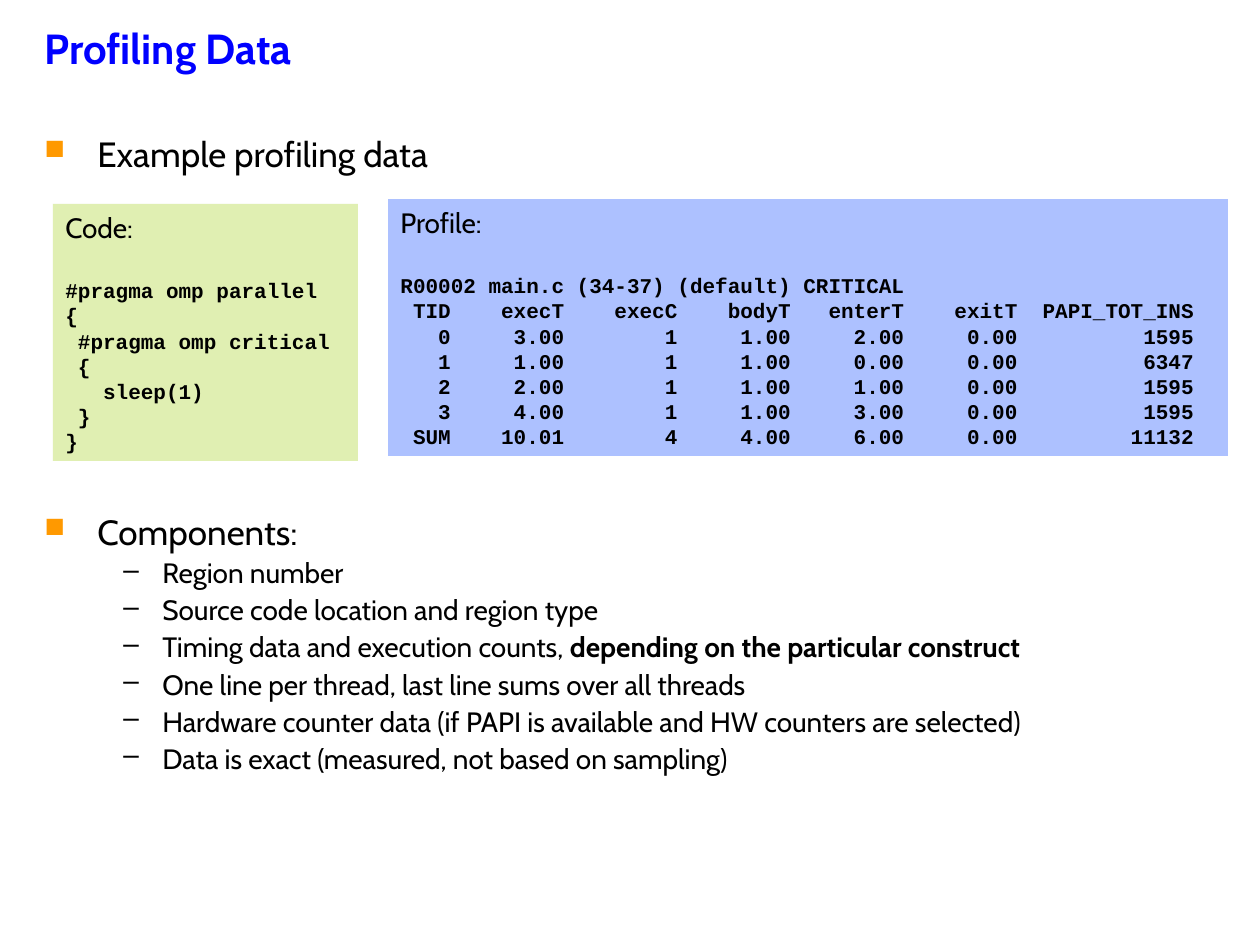
from dataclasses import dataclass
from typing import Any

from lxml.etree import SubElement
from pptx import Presentation
from pptx.dml.color import RGBColor
from pptx.enum.shapes import MSO_SHAPE as Shape
from pptx.enum.text import MSO_ANCHOR as Anchor, PP_ALIGN as Align
from pptx.oxml.ns import qn
from pptx.util import Emu, Pt

EMU_PER_INCH = 914400
PX_PER_INCH = 126

CODE = [
    "#pragma omp parallel",
    "{",
    " #pragma omp critical",
    " {",
    "   sleep(1)",
    " }",
    "}",
]
PROFILE = [
    "R00002 main.c (34-37) (default) CRITICAL",
    " TID    execT    execC    bodyT   enterT    exitT  PAPI_TOT_INS",
    "   0     3.00        1     1.00     2.00     0.00          1595",
    "   1     1.00        1     1.00     0.00     0.00          6347",
    "   2     2.00        1     1.00     1.00     0.00          1595",
    "   3     4.00        1     1.00     3.00     0.00          1595",
    " SUM    10.01        4     4.00     6.00     0.00         11132",
]
COMPONENTS = [
    [("Region number", False)],
    [("Source code location and region type", False)],
    [("Timing data and execution counts, ", False),
     ("depending on the particular construct", True)],
    [("One line per thread, last line sums over all threads", False)],
    [("Hardware counter data (if PAPI is available and HW counters are selected)", False)],
    [("Data is exact (measured, not based on sampling)", False)],
]


def px(length):
    return Emu(round(length * EMU_PER_INCH / PX_PER_INCH))


def rgb(value):
    return RGBColor.from_string(value)


@dataclass
class SlideBuilder:
    slide: Any
    text_font: str = "Cabin"
    code_font: str = "Courier New"
    ink: str = "000000"
    title_color: str = "0000FF"
    bullet_color: str = "FF9900"
    heading_size: int = 20
    item_size: int = 16
    code_size: int = 12

    def add_run(self, para, text, size, bold=False, color=None, font=None):
        span = para.add_run()
        span.text = text
        span.font.size = Pt(size)
        span.font.bold = bold
        span.font.name = font or self.text_font
        span.font.color.rgb = rgb(color or self.ink)

    def text_box(self, left, top, width, height):
        box = self.slide.shapes.add_textbox(px(left), px(top), px(width), px(height))
        box.text_frame.word_wrap = True
        return box.text_frame

    def title(self, text, left, top, width, height):
        frame = self.text_box(left, top, width, height)
        frame.vertical_anchor = Anchor.MIDDLE
        para = frame.paragraphs[0]
        para.line_spacing = 0.9
        self.add_run(para, text, 24, True, self.title_color)

    def bullet(self, para, char, color, margin, hanging, percent=100):
        props = para._p.get_or_add_pPr()
        props.set("marL", str(px(margin)))
        props.set("indent", str(-px(hanging)))
        tint = SubElement(props, qn("a:buClr"))
        SubElement(tint, qn("a:srgbClr"), val=color)
        SubElement(props, qn("a:buSzPct"), val=str(percent * 1000))
        SubElement(props, qn("a:buChar"), char=char)

    def outline(self, heading, items, left, top, width, height):
        frame = self.text_box(left, top, width, height)
        para = frame.paragraphs[0]
        self.bullet(para, "■", self.bullet_color, 53, 53, 80)
        self.add_run(para, heading, self.heading_size)
        for spans in items:
            para = frame.add_paragraph()
            para.level = 1
            self.bullet(para, "–", self.ink, 118, 39)
            para.space_before = Pt(2)
            for text, bold in spans:
                self.add_run(para, text, self.item_size, bold)

    def listing(self, heading, lines, color, opacity, left, top, width, height):
        panel = self.slide.shapes.add_shape(
            Shape.RECTANGLE, px(left), px(top), px(width), px(height))
        panel.shadow.inherit = False
        panel.line.fill.background()
        panel.fill.solid()
        panel.fill.fore_color.rgb = rgb(color)
        tint = panel.fill._xPr.find(".//" + qn("a:srgbClr"))
        SubElement(tint, qn("a:alpha"), val=str(opacity * 1000))
        frame = panel.text_frame
        frame.word_wrap = True
        frame.vertical_anchor = Anchor.TOP
        para = frame.paragraphs[0]
        para.alignment = Align.LEFT
        self.add_run(para, heading, self.item_size)
        for index, line in enumerate(lines):
            para = frame.add_paragraph()
            para.alignment = Align.LEFT
            para.line_spacing = Pt(14.4)
            if index == 0:
                para.space_before = Pt(19.4)
            self.add_run(para, line, self.code_size, True, font=self.code_font)


def main():
    deck = Presentation()
    deck.slide_width = px(1260)
    deck.slide_height = px(945)
    page = SlideBuilder(deck.slides.add_slide(deck.slide_layouts[6]))

    page.title("Profiling Data", 32, 4, 976, 94)
    page.outline("Example profiling data", [], 32, 126, 1197, 60)
    page.outline("Components:", COMPONENTS, 32, 504, 1197, 356)
    page.listing("Code:", CODE, "99CC00", 30, 53, 204, 305, 257)
    page.listing("Profile:", PROFILE, "3366FF", 40, 388, 199, 840, 257)

    deck.save("out.pptx")


if __name__ == "__main__":
    main()
